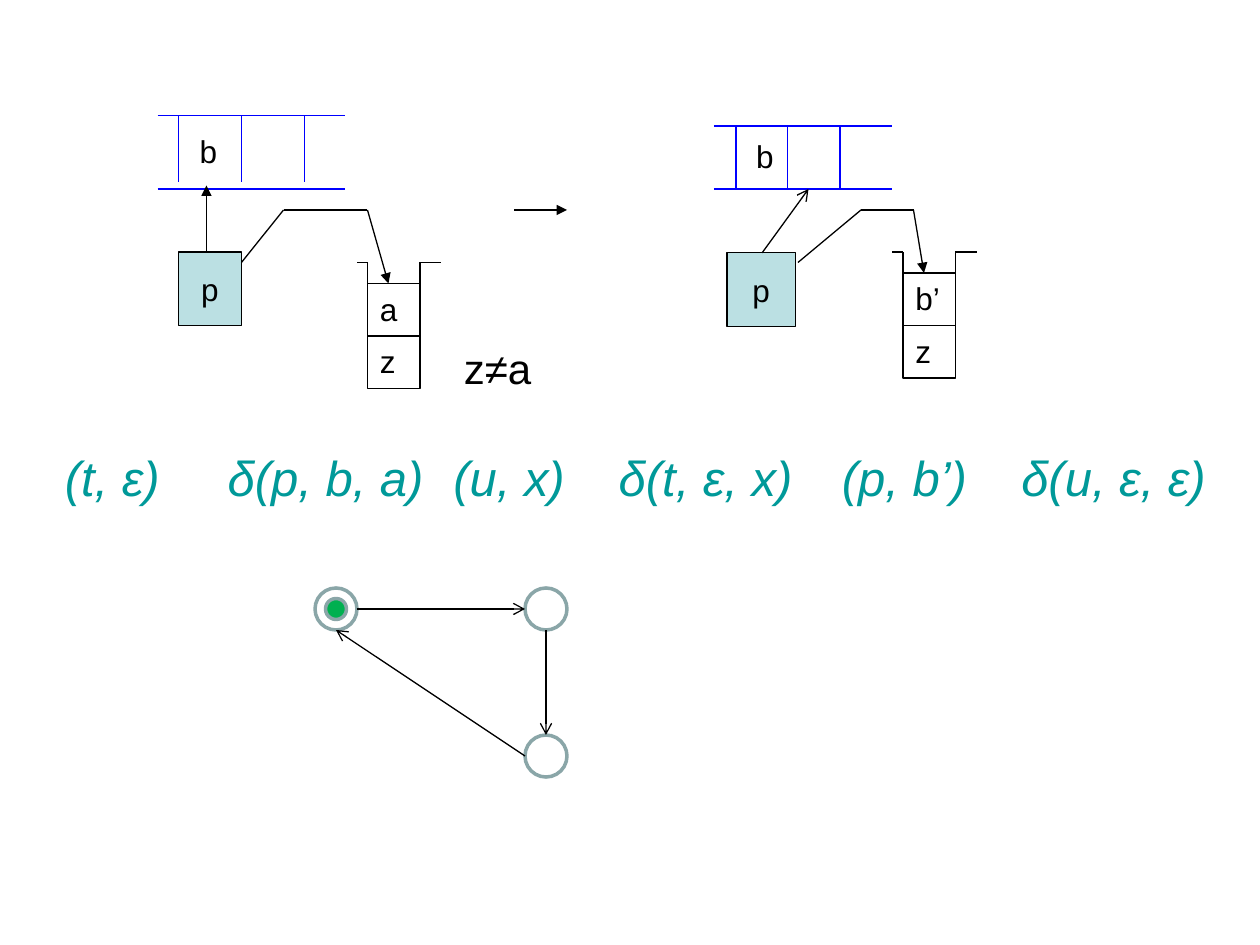
from itertools import pairwise

from lxml.etree import SubElement
from pptx import Presentation
from pptx.dml.color import RGBColor
from pptx.enum.shapes import MSO_CONNECTOR, MSO_SHAPE
from pptx.enum.text import MSO_ANCHOR, PP_ALIGN
from pptx.oxml.ns import qn
from pptx.util import Pt

COLORS = {
    "ink": "000000",
    "tape": "0000FF",
    "state": "BBE0E3",
    "formula": "009999",
    "ring": "8AA6A8",
    "node": "FFFFFF",
    "token": "00B050",
}


class Sketch:
    font = "Arial"
    thin = 0.75
    thick = 2

    def __init__(self, page):
        self.page = page

    def color(self, name):
        return RGBColor.from_string(COLORS[name])

    def style(self, para, size, color, italic=False):
        for span in para.runs:
            span.font.name = self.font
            span.font.size = Pt(size)
            span.font.italic = italic
            span.font.color.rgb = self.color(color)

    def line(self, start, end, color="ink", head=None):
        points = [Pt(value) for value in (*start, *end)]
        line = self.page.shapes.add_connector(MSO_CONNECTOR.STRAIGHT, *points)
        line.line.color.rgb = self.color(color)
        line.line.width = Pt(self.thin)
        if head:
            outline = line.line._get_or_add_ln()
            SubElement(outline, qn("a:tailEnd"), type=head)
        SubElement(line._element.spPr, qn("a:effectLst"))

    def route(self, points, head):
        steps = list(pairwise(points))
        for start, end in steps[:-1]:
            self.line(start, end)
        self.line(*steps[-1], head=head)

    def shape(self, kind, bounds, fill=None, edge="ink", width=thin):
        shape = self.page.shapes.add_shape(kind, *[Pt(value) for value in bounds])
        shape.shadow.inherit = False
        if fill:
            shape.fill.solid()
            shape.fill.fore_color.rgb = self.color(fill)
        else:
            shape.fill.background()
        shape.line.color.rgb = self.color(edge)
        shape.line.width = Pt(width)
        return shape

    def text(self, text, bounds, size=18, color="ink", italic=False, tab=None):
        box = self.page.shapes.add_textbox(*[Pt(value) for value in bounds])
        box.text_frame.word_wrap = True
        para = box.text_frame.paragraphs[0]
        para.text = text
        if tab:
            stops = SubElement(para._p.get_or_add_pPr(), qn("a:tabLst"))
            SubElement(stops, qn("a:tab"), pos=str(Pt(tab)), algn="l")
        self.style(para, size, color, italic)

    def state(self, bounds):
        box = self.shape(MSO_SHAPE.RECTANGLE, bounds, "state")
        frame = box.text_frame
        frame.word_wrap = False
        frame.vertical_anchor = MSO_ANCHOR.MIDDLE
        para = frame.paragraphs[0]
        para.text = "p"
        para.alignment = PP_ALIGN.CENTER
        self.style(para, 18, "ink")

    def tape(self, left, right, top, bottom, dividers, divider_end, label):
        for y in (top, bottom):
            self.line((left, y), (right, y), "tape")
        for x in dividers:
            self.line((x, top), (x, divider_end), "tape")
        self.text("b", (*label, 30, 29))

    def stack(self, left, top, symbols, cell=30, rim=12):
        right = left + cell
        lip = top - rim
        for x, outer in ((left, left - 6), (right, right + 12)):
            self.line((x, top), (x, lip))
            self.line((x, lip), (outer, lip))
        for row, symbol in enumerate(symbols):
            y = top + row * cell
            self.shape(MSO_SHAPE.RECTANGLE, (left, y, cell, cell))
            self.text(symbol, (left, y, cell, 29))

    def circle(self, center, diameter, fill):
        x, y = center
        bounds = (x - diameter / 2, y - diameter / 2, diameter, diameter)
        self.shape(MSO_SHAPE.OVAL, bounds, fill, "ring", self.thick)


def main():
    deck = Presentation()
    deck.slide_width, deck.slide_height = Pt(720), Pt(540)
    page = deck.slides.add_slide(deck.slide_layouts[6])
    sketch = Sketch(page)

    sketch.tape(90, 197, 66, 108, (102, 138, 174), 104, (107, 72))
    sketch.state((102, 144, 36, 42))
    sketch.line((118, 143.5), (118, 106), head="triangle")
    sketch.route([(138, 150), (162, 120), (210, 120), (222, 162)], "triangle")
    sketch.stack(210, 162, ["a", "z"])
    sketch.text("z≠a", (258, 192, 72, 36.5), 24)

    sketch.line((294, 120), (324, 120), head="triangle")

    sketch.tape(408, 510, 72, 108, (420.5, 450, 480), 108, (425, 75))
    sketch.state((415.5, 144.5, 39, 42))
    sketch.line((435.5, 144.5), (462, 108), head="arrow")
    sketch.route([(456, 150), (492, 120), (522, 120), (528, 156)], "triangle")
    sketch.stack(516, 156, ["b’", "z"])

    formulas = [
        ("(t, ε)\tδ(p, b, a)", 30, 264, 93),
        ("(u, x)\tδ(t, ε, x)", 252, 252, 94.5),
        ("(p, b’)\tδ(u, ε, ε)", 474, 228, 102.5),
    ]
    for text, left, width, tab in formulas:
        sketch.text(text, (left, 252, width, 42), 28, "formula", True, tab)

    start, upper, lower = (192, 348), (312, 348), (312, 432)
    for center in (start, upper, lower):
        sketch.circle(center, 24, "node")
    sketch.circle(start, 12, "token")
    sketch.line((204, 348), (300, 348), head="arrow")
    sketch.line((312, 360), (312, 420), head="arrow")
    sketch.line((300, 432), (192, 360), head="arrow")

    deck.save("out.pptx")


if __name__ == "__main__":
    main()
